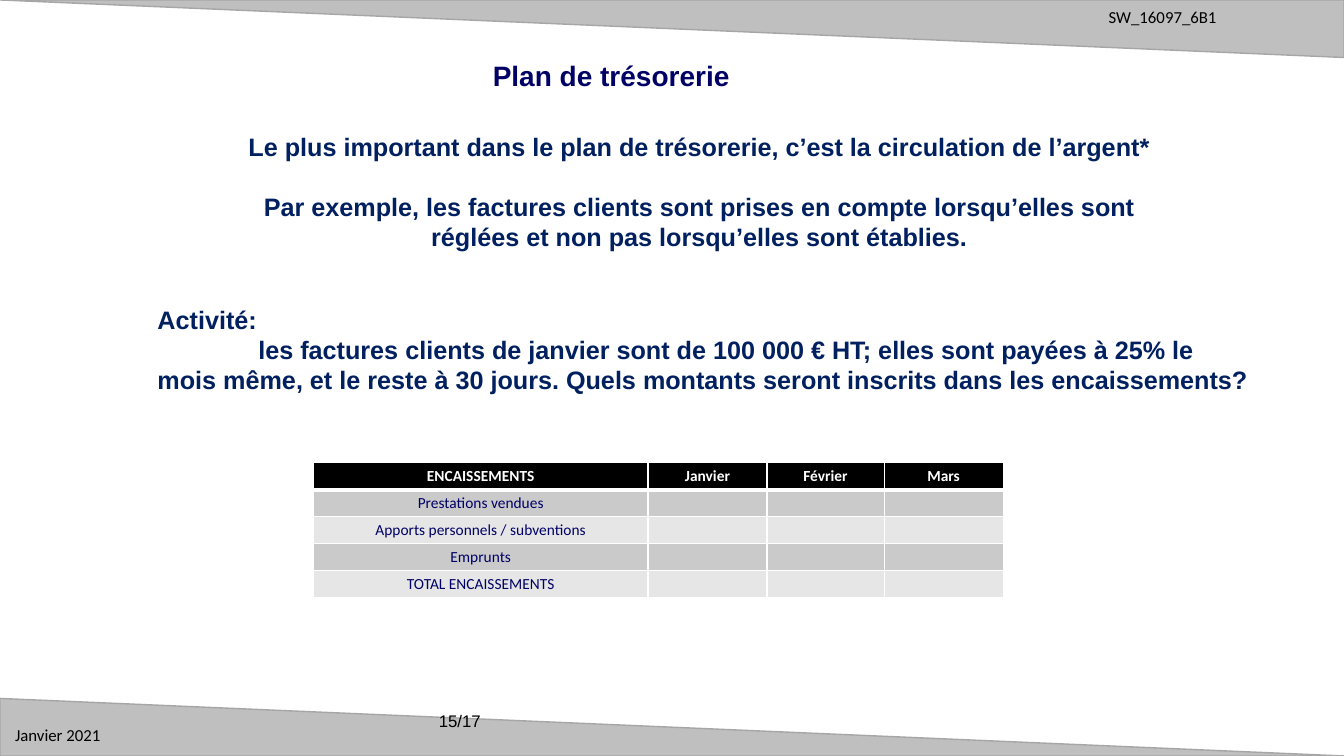
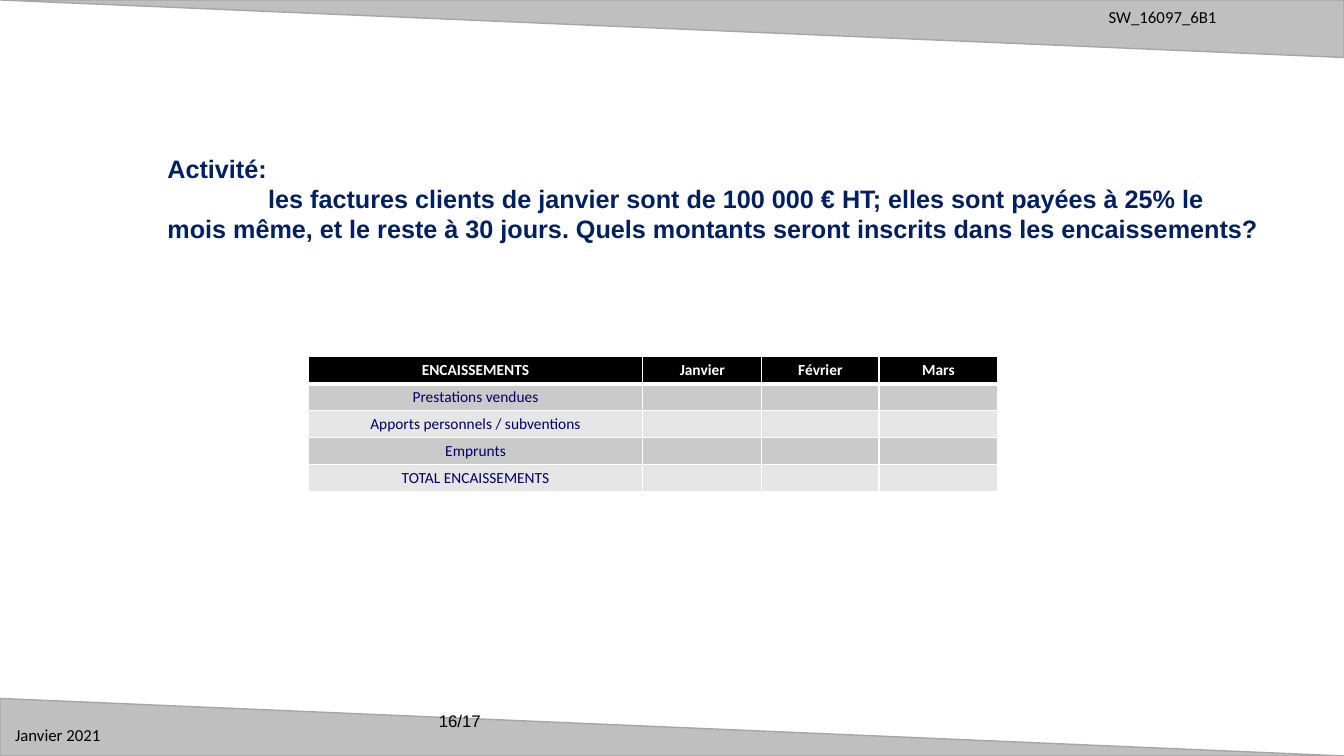
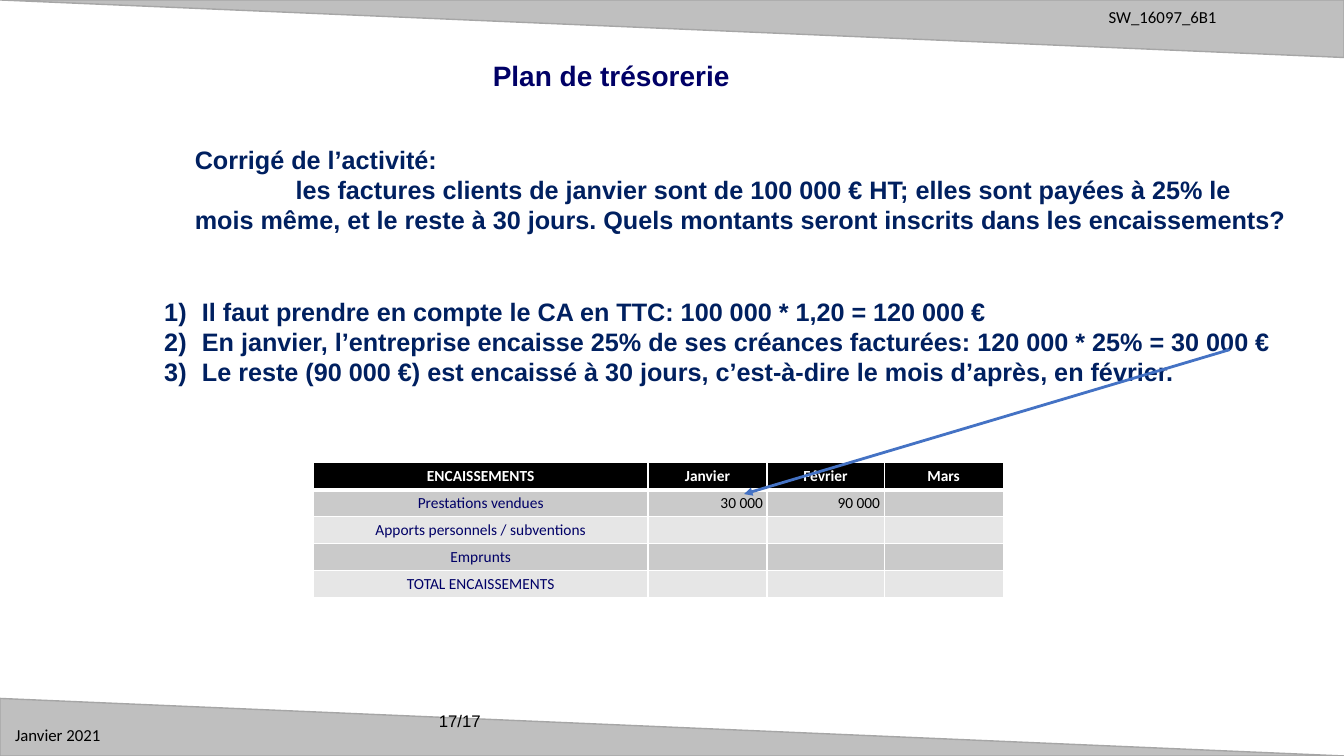
from dataclasses import dataclass

from lxml import etree
from pptx import Presentation
from pptx.dml.color import RGBColor
from pptx.enum.shapes import MSO_CONNECTOR
from pptx.enum.text import MSO_ANCHOR, MSO_AUTO_SIZE, PP_ALIGN
from pptx.oxml.ns import qn
from pptx.util import Cm, Pt

LEFT, CENTER, RIGHT = PP_ALIGN.LEFT, PP_ALIGN.CENTER, PP_ALIGN.RIGHT
TOP, MIDDLE = MSO_ANCHOR.TOP, MSO_ANCHOR.MIDDLE
NO_AUTOSIZE = MSO_AUTO_SIZE.NONE
STRAIGHT = MSO_CONNECTOR.STRAIGHT
TITLE_ONLY, BLANK = 5, 6


@dataclass(frozen=True)
class Theme:
    width: float = 33.87
    height: float = 19.05
    band_height: float = 1.45
    inset: float = 0.13
    cell_inset: float = 0.1
    heading_font: str = "Arial"
    small_font: str = "Calibri"
    title_size: int = 20
    body_size: int = 18
    body_leading: float = 21.5
    footer_size: int = 12
    table_size: int = 11
    title_color: str = "000066"
    body_color: str = "002060"
    black: str = "000000"
    white: str = "FFFFFF"
    band_fill: str = "BFBFBF"
    band_line: str = "A6A6A6"
    arrow: str = "4472C4"
    row_fills: tuple = ("CACACA", "E6E6E6")


THEME = Theme()

TITLE = "Plan de trésorerie"
QUESTION = (
    "les factures clients de janvier sont de 100 000 € HT; elles sont payées à 25% le "
    "mois même, et le reste à 30 jours. Quels montants seront inscrits dans les encaissements?"
)
MESSAGES = [
    "Le plus important dans le plan de trésorerie, c’est la circulation de l’argent*",
    "Par exemple, les factures clients sont prises en compte lorsqu’elles sont réglées "
    "et non pas lorsqu’elles sont établies.",
]
ANSWERS = [
    "Il faut prendre en compte le CA en TTC: 100 000 * 1,20 = 120 000 €",
    "En janvier, l’entreprise encaisse 25% de ses créances facturées: 120 000 * 25% = 30 000 €",
    "Le reste (90 000 €) est encaissé à 30 jours, c’est-à-dire le mois d’après, en février.",
]
TABLE_HEADER = ["ENCAISSEMENTS", "Janvier", "Février", "Mars"]
TABLE_LABELS = [
    "Prestations vendues",
    "Apports personnels / subventions",
    "Emprunts",
    "TOTAL ENCAISSEMENTS",
]
COLUMN_WIDTHS = [8.43, 3, 2.95, 3]
ROW_HEIGHT = 0.68


# Text
def style_paragraph(paragraph, font, size, color, bold=False, align=LEFT):
    paragraph.alignment = align
    for run in paragraph.runs:
        run.font.name = font
        run.font.size = Pt(size)
        run.font.bold = bold
        run.font.color.rgb = RGBColor.from_string(color)


def prepare_frame(text_frame, anchor=TOP):
    text_frame.word_wrap = True
    text_frame.auto_size = NO_AUTOSIZE
    text_frame.vertical_anchor = anchor
    text_frame.margin_left = text_frame.margin_right = Cm(THEME.inset)
    text_frame.margin_top = text_frame.margin_bottom = Cm(THEME.inset)


def add_text(slide, left, top, width, height, lines):
    shape = slide.shapes.add_textbox(Cm(left), Cm(top), Cm(width), Cm(height))
    prepare_frame(shape.text_frame)
    shape.text_frame.text = "\n".join(lines)
    return shape


def add_body(slide, left, top, width, height, lines, align=LEFT):
    paragraphs = add_text(slide, left, top, width, height, lines).text_frame.paragraphs
    for paragraph in paragraphs:
        style_paragraph(paragraph, THEME.heading_font, THEME.body_size,
                        THEME.body_color, True, align)
        paragraph.line_spacing = Pt(THEME.body_leading)
    return paragraphs


def add_small_text(slide, left, top, width, text, font):
    shape = add_text(slide, left, top, width, 0.76, [text])
    style_paragraph(shape.text_frame.paragraphs[0], font, THEME.footer_size, THEME.black)
    return shape


def set_indent(paragraph, margin, first_line):
    properties = paragraph._p.get_or_add_pPr()
    properties.set("marL", str(Cm(margin)))
    properties.set("indent", str(Cm(first_line)))
    return properties


def set_title(slide):
    title = slide.shapes.title
    title.left, title.top, title.width, title.height = Cm(9.12), Cm(1.35), Cm(12.57), Cm(1.04)
    prepare_frame(title.text_frame)
    title.text_frame.text = TITLE
    style_paragraph(title.text_frame.paragraphs[0], THEME.heading_font,
                    THEME.title_size, THEME.title_color, True, CENTER)


def add_messages(slide):
    paragraphs = add_body(slide, 5.56, 3.18, 24.13, 4.11, MESSAGES, CENTER)
    paragraphs[1].space_before = Pt(THEME.body_leading)


def add_question(slide, left, top, heading):
    paragraphs = add_body(slide, left, top, 27.94, 2.57, [heading, QUESTION])
    set_indent(paragraphs[1], 0, 2.54)


def add_answers(slide):
    for paragraph in add_body(slide, 4.01, 7.34, 28.75, 2.57, ANSWERS):
        properties = set_indent(paragraph, 0.95, -0.95)
        etree.SubElement(properties, qn("a:buFont"), typeface="+mj-lt")
        etree.SubElement(properties, qn("a:buAutoNum"), type="arabicParenR")


# Bands and texts shared through the slide master
def add_band(slide, points):
    corners = [(Cm(x), Cm(y)) for x, y in points]
    builder = slide.shapes.build_freeform(*corners[0])
    builder.add_line_segments(corners[1:], close=True)
    band = builder.convert_to_shape()
    band.shadow.inherit = False
    band.fill.solid()
    band.fill.fore_color.rgb = RGBColor.from_string(THEME.band_fill)
    band.line.color.rgb = RGBColor.from_string(THEME.band_line)
    band.line.width = Pt(1)
    return band


def build_master(master, slide):
    """Draw the shared elements on a slide and move them to the master."""
    width, height, band = THEME.width, THEME.height, THEME.band_height
    shared = [
        add_band(slide, [(0, 0), (width, 0), (width, band)]),
        add_band(slide, [(0, height - band), (width, height), (0, height)]),
        add_small_text(slide, 27.81, 0.05, 5.82, "SW_16097_6B1", THEME.small_font),
        add_small_text(slide, 0.25, 18.14, 3.25, "Janvier 2021", THEME.small_font),
    ]
    for number, shape in enumerate(shared, start=101):
        shape.element.xpath(".//p:cNvPr")[0].set("id", str(number))
        master.shapes.element.append(shape.element)


def add_page_number(slide, page):
    add_small_text(slide, 10.93, 17.78, 3, f"{page}/17", THEME.heading_font)


# Table
def set_borders(cell, bottom_width):
    properties = cell._tc.get_or_add_tcPr()
    sides = [("L", 1), ("R", 1), ("T", 1), ("B", bottom_width)]
    for position, (side, width) in enumerate(sides):
        line = etree.Element(qn(f"a:ln{side}"), w=str(Pt(width)))
        fill = etree.SubElement(line, qn("a:solidFill"))
        etree.SubElement(fill, qn("a:srgbClr"), val=THEME.white)
        properties.insert(position, line)


def fill_cell(cell, text, fill, color, bold, align):
    cell.margin_left = cell.margin_right = Cm(THEME.cell_inset)
    cell.margin_top = cell.margin_bottom = Cm(THEME.cell_inset)
    cell.vertical_anchor = MIDDLE
    cell.fill.solid()
    cell.fill.fore_color.rgb = RGBColor.from_string(fill)
    cell.text_frame.text = text
    paragraph = cell.text_frame.paragraphs[0]
    style_paragraph(paragraph, THEME.small_font, THEME.table_size, color, bold, align)
    if not text:
        # Keeps empty cells from stretching their row
        etree.SubElement(paragraph._p, qn("a:endParaRPr"), sz=str(THEME.table_size * 100))


def add_receipts_table(slide, left, top, sales=("", "", "")):
    values = [sales] + [("", "", "")] * (len(TABLE_LABELS) - 1)
    rows = [TABLE_HEADER] + [[label, *row] for label, row in zip(TABLE_LABELS, values)]
    table = slide.shapes.add_table(
        len(rows), len(TABLE_HEADER), Cm(left), Cm(top),
        Cm(sum(COLUMN_WIDTHS)), Cm(ROW_HEIGHT * len(rows))).table
    for column, width in zip(table.columns, COLUMN_WIDTHS):
        column.width = Cm(width)
    for row_index, row in enumerate(rows):
        table.rows[row_index].height = Cm(ROW_HEIGHT)
        for column_index, text in enumerate(row):
            cell = table.cell(row_index, column_index)
            if row_index == 0:
                fill_cell(cell, text, THEME.black, THEME.white, True, CENTER)
            else:
                fill = THEME.row_fills[(row_index - 1) % 2]
                is_label = column_index == 0
                fill_cell(cell, text, fill, THEME.title_color if is_label else THEME.black,
                          False, CENTER if is_label else RIGHT)
            set_borders(cell, 3 if row_index == 0 else 1)


# Arrow
def add_arrow(slide, start, end):
    points = [Cm(value) for value in (*start, *end)]
    arrow = slide.shapes.add_connector(STRAIGHT, *points)
    arrow.line.color.rgb = RGBColor.from_string(THEME.arrow)
    arrow.line.width = Pt(2)
    etree.SubElement(arrow.line._get_or_add_ln(), qn("a:tailEnd"), type="triangle")
    etree.SubElement(arrow.element.spPr, qn("a:effectLst"))


# Slides
def add_slide(presentation, page, layout):
    slide = presentation.slides.add_slide(presentation.slide_layouts[layout])
    if layout == TITLE_ONLY:
        set_title(slide)
    add_page_number(slide, page)
    return slide


def main():
    presentation = Presentation()
    presentation.slide_width = Cm(THEME.width)
    presentation.slide_height = Cm(THEME.height)

    # Rule and activity
    lesson = add_slide(presentation, 15, TITLE_ONLY)
    build_master(presentation.slide_master, lesson)
    add_messages(lesson)
    add_question(lesson, 3.84, 7.54, "Activité:")
    add_receipts_table(lesson, 7.9, 11.66)

    # Activity alone
    activity = add_slide(presentation, 16, BLANK)
    add_question(activity, 4.09, 3.73, "Activité:")
    add_receipts_table(activity, 7.77, 8.99)

    # Solution
    solution = add_slide(presentation, 17, TITLE_ONLY)
    add_question(solution, 4.78, 3.51, "Corrigé de l’activité:")
    add_receipts_table(solution, 7.9, 11.66, ("30 000", "90 000", ""))
    add_answers(solution)
    add_arrow(solution, (30.99, 8.81), (18.75, 12.45))

    presentation.save("out.pptx")


if __name__ == "__main__":
    main()
